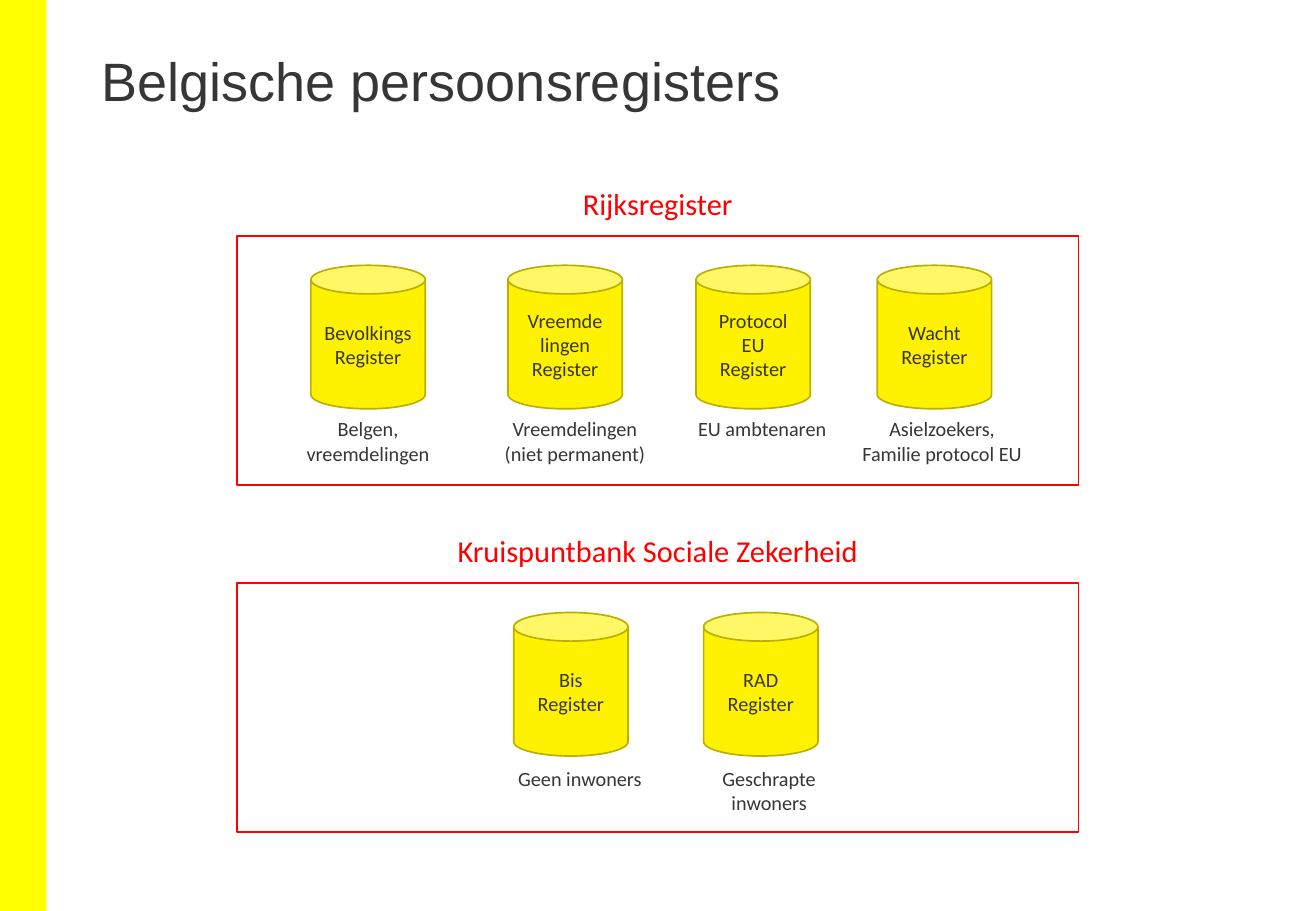
from pptx import Presentation
from pptx.dml.color import RGBColor
from pptx.enum.shapes import MSO_SHAPE
from pptx.enum.text import MSO_ANCHOR, PP_ALIGN
from pptx.util import Cm, Pt

TITLE = "Belgische persoonsregisters"

# name, frame top, caption offset, cans: (text, left, caption, caption left, caption width)
BANKS = [
    ("Rijksregister", 4.93, 3.66, [
        ("Bevolkings\nRegister", 6.5, "Belgen,\nvreemdelingen", 6.12, 3.15),
        ("Vreemde\nlingen\nRegister", 10.62,
         "Vreemdelingen\n(niet permanent)", 10.24, 3.56),
        ("Protocol EU\nRegister", 14.55, "EU ambtenaren", 14.27, 3.33),
        ("Wacht\nRegister", 18.34,
         "Asielzoekers,\nFamilie protocol EU", 17.7, 3.99),
    ]),
    ("Kruispuntbank Sociale Zekerheid", 12.19, 3.71, [
        ("Bis\nRegister", 10.74, "Geen inwoners", 10.46, 3.33),
        ("RAD\nRegister", 14.71, "Geschrapte\ninwoners", 14.81, 2.54),
    ]),
]

THEME = {
    "ink": RGBColor(0x37, 0x36, 0x36),
    "red": RGBColor(0xFF, 0x00, 0x00),
    "bar": RGBColor(0xFF, 0xFF, 0x00),
    "can": RGBColor(0xFF, 0xF2, 0x00),
    "rim": RGBColor(0xBA, 0xB0, 0x00),
    "head": "Arial",
    "body": "Calibri",
    "title": Pt(32),
    "bank": Pt(18),
    "label": Pt(12),
}

WIDE, HIGH = 27.51, 19.05
FRAME_X, FRAME_W, FRAME_H = 4.95, 17.6, 5.21
CAN_W, CAN_H, CAN_GAP = 2.39, 3.0, 0.62
BANK_GAP = 1.19

deck = Presentation()
deck.slide_width, deck.slide_height = Cm(WIDE), Cm(HIGH)
slide = deck.slides.add_slide(deck.slide_layouts[6])


def write(shape, text, size, color="ink", font="body", align=PP_ALIGN.CENTER):
    frame = shape.text_frame
    frame.word_wrap = True
    for i, line in enumerate(text.split("\n")):
        para = frame.paragraphs[0] if i == 0 else frame.add_paragraph()
        para.text = line
        para.alignment = align
        para.font.name = THEME[font]
        para.font.size = THEME[size]
        para.font.color.rgb = THEME[color]
    return frame


def label(box, text, size, **style):
    return write(slide.shapes.add_textbox(*map(Cm, box)), text, size, **style)


def draw(kind, box, fill=None, line=None):
    shape = slide.shapes.add_shape(kind, *map(Cm, box))
    shape.shadow.inherit = False
    if fill:
        shape.fill.solid()
        shape.fill.fore_color.rgb = THEME[fill]
    else:
        shape.fill.background()
    if line:
        shape.line.color.rgb = THEME[line]
        shape.line.width = Pt(1)
    else:
        shape.line.fill.background()
    return shape


draw(MSO_SHAPE.RECTANGLE, (0, 0, 0.97, HIGH), fill="bar")
title = label((1.88, 1.02, 23.72, 2.74), TITLE, "title",
              font="head", align=PP_ALIGN.LEFT)
title.paragraphs[0].line_spacing = 0.9

for bank, top, drop, cans in BANKS:
    for text, left, note, note_x, note_w in cans:
        can = draw(MSO_SHAPE.CAN, (left, top + CAN_GAP, CAN_W, CAN_H),
                   "can", "rim")
        write(can, text, "label").vertical_anchor = MSO_ANCHOR.MIDDLE
        note_h = 0.76 if "\n" not in note else 1.27
        label((note_x, top + drop, note_w, note_h), note, "label")
    draw(MSO_SHAPE.RECTANGLE, (FRAME_X, top, FRAME_W, FRAME_H), line="red")
    label((FRAME_X, top - BANK_GAP, FRAME_W, 1.02), bank, "bank", color="red")

deck.save("out.pptx")
